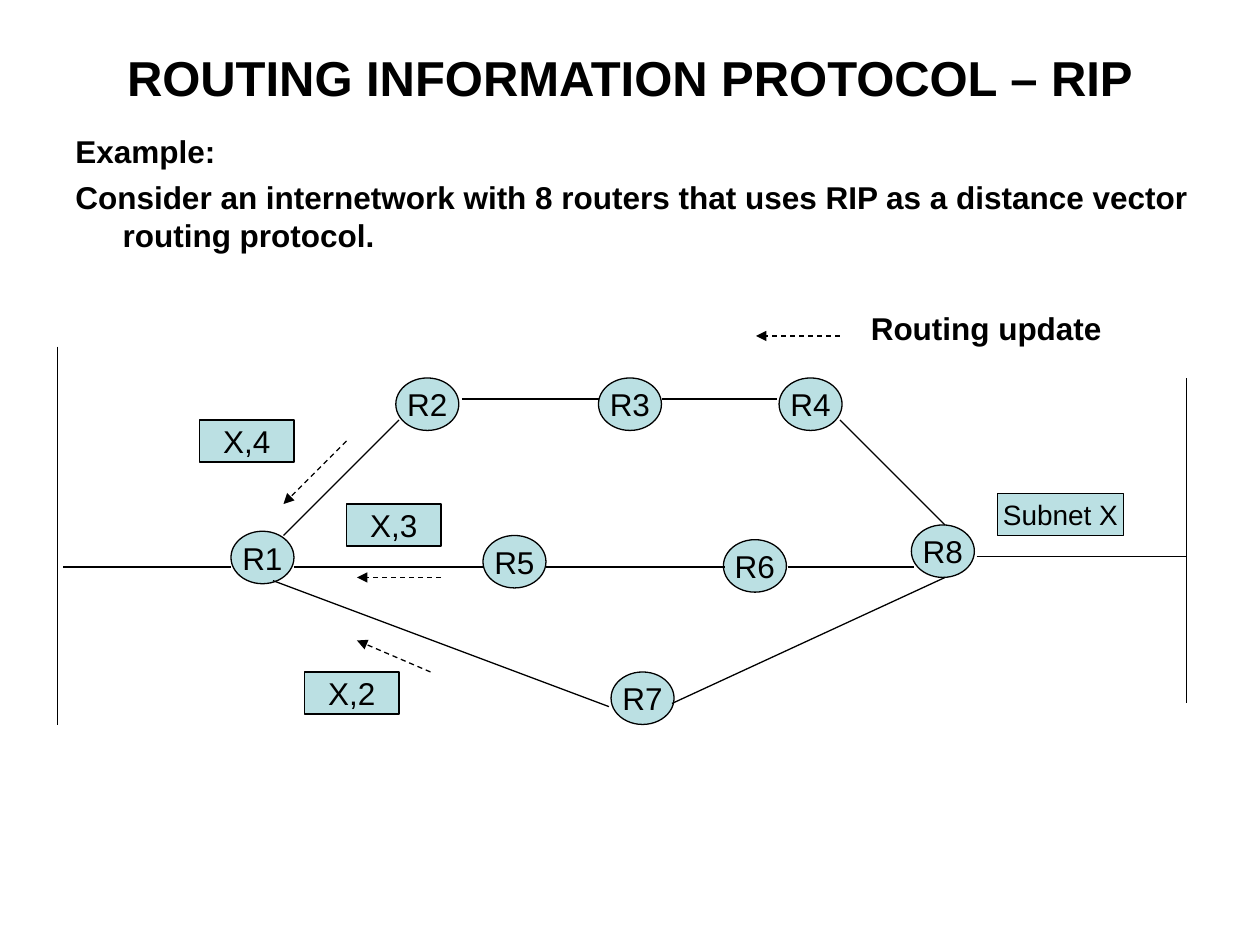
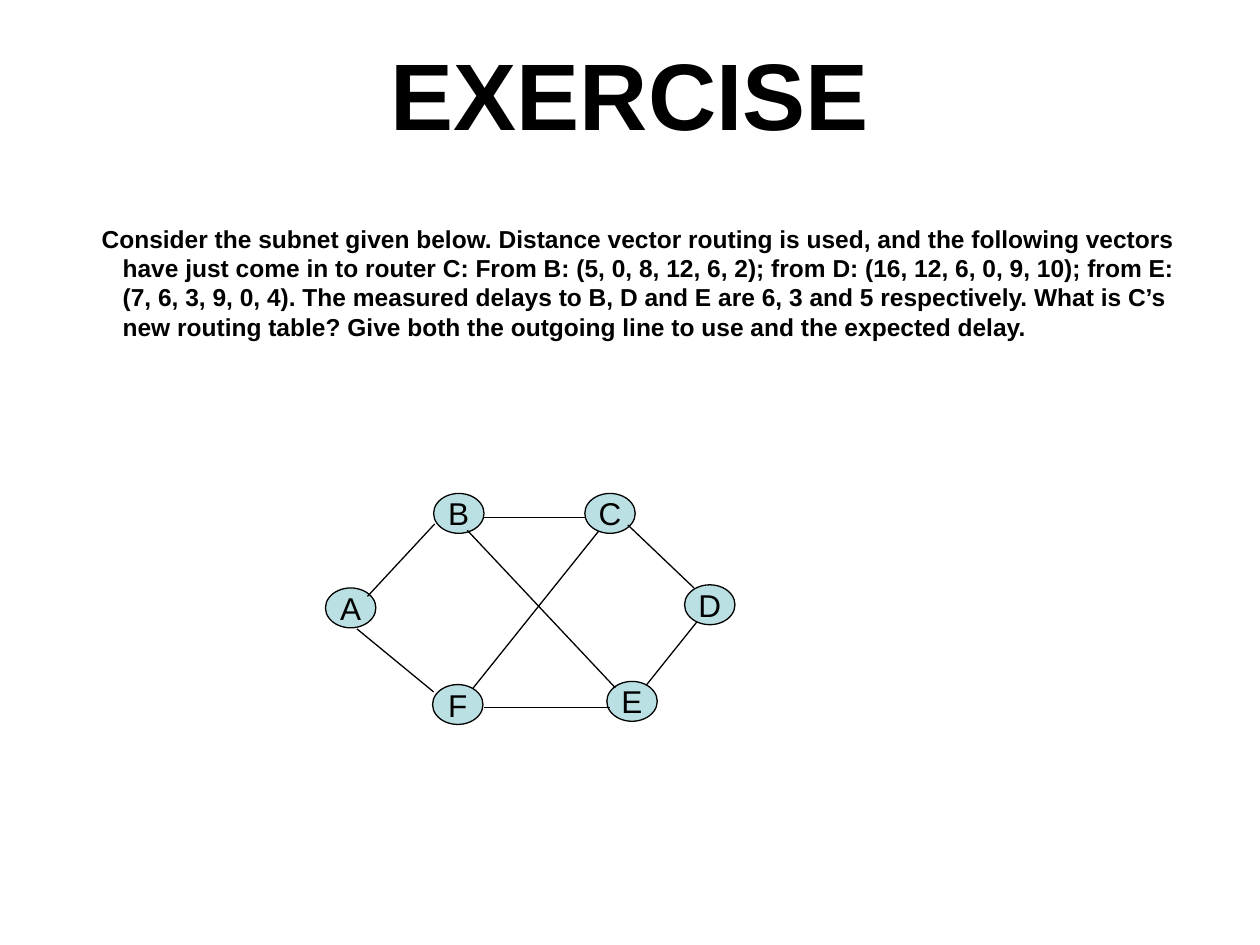
from dataclasses import dataclass

import lxml.etree
import pptx
import pptx.dml.color
import pptx.enum.dml
import pptx.enum.shapes
import pptx.enum.text
import pptx.oxml.ns
import pptx.util

BLACK = pptx.dml.color.RGBColor(0x00, 0x00, 0x00)
PALE_TEAL = pptx.dml.color.RGBColor(0xBB, 0xE0, 0xE3)
FONT = "Arial"
LINE_WIDTH = pptx.util.Pt(0.75)

# The page is a grid of square cells, twelve to the inch
COLUMNS, ROWS = 120, 90
CELL = pptx.util.Inches(10) / COLUMNS

CIRCLE = pptx.enum.shapes.MSO_SHAPE.FLOWCHART_CONNECTOR
RECTANGLE = pptx.enum.shapes.MSO_SHAPE.RECTANGLE
LEFT = pptx.enum.text.PP_ALIGN.LEFT
CENTER = pptx.enum.text.PP_ALIGN.CENTER
TOP = pptx.enum.text.MSO_ANCHOR.TOP
MIDDLE = pptx.enum.text.MSO_ANCHOR.MIDDLE


@dataclass(frozen=True)
class Area:
    column: float
    row: float
    columns: float
    rows: float

    def lengths(self) -> list[int]:
        return [cells(n) for n in (self.column, self.row, self.columns, self.rows)]


@dataclass(frozen=True)
class Node:
    label: str
    column: float
    row: float


@dataclass(frozen=True)
class Link:
    start_column: float
    start_row: float
    end_column: float
    end_row: float


def cells(count: float) -> int:
    return round(count * CELL)


# Shared drawing functions
def style_paragraph(para, size: float, bold: bool, alignment) -> None:
    para.alignment = alignment
    para.font.name = FONT
    para.font.size = pptx.util.Pt(size)
    para.font.bold = bold
    para.font.color.rgb = BLACK


def add_text(page, area: Area, texts: list[str], size: float, alignment=LEFT,
             anchor=TOP, hanging: float = 0, first_line: float = 0,
             space_before: float = 0) -> None:
    box = page.shapes.add_textbox(*area.lengths())
    frame = box.text_frame
    frame.word_wrap = True
    frame.vertical_anchor = anchor
    for index, text in enumerate(texts):
        para = frame.paragraphs[0] if index == 0 else frame.add_paragraph()
        para.text = text
        if hanging:
            properties = para._p.get_or_add_pPr()
            properties.set("marL", str(cells(hanging)))
            properties.set("indent", str(cells(first_line - hanging)))
        if index:
            para.space_before = pptx.util.Pt(space_before)
        style_paragraph(para, size, True, alignment)


def add_title(page, text: str, size: float, rows: float) -> None:
    add_text(page, Area(6, 3.6, 108, rows), [text], size, CENTER, MIDDLE)


def add_label(page, kind, area: Area, text: str, size: float = 18) -> None:
    shape = page.shapes.add_shape(kind, *area.lengths())
    shape.shadow.inherit = False
    shape.fill.solid()
    shape.fill.fore_color.rgb = PALE_TEAL
    shape.line.color.rgb = BLACK
    shape.line.width = LINE_WIDTH
    frame = shape.text_frame
    frame.word_wrap = False
    frame.vertical_anchor = MIDDLE
    frame.text = text
    style_paragraph(frame.paragraphs[0], size, False, CENTER)


def add_labels(page, kind, nodes: list[Node], columns: float, rows: float) -> None:
    for node in nodes:
        add_label(page, kind, Area(node.column, node.row, columns, rows), node.label)


def add_links(page, links: list[Link], update: bool = False) -> None:
    """Draw plain links, or dashed arrows for routing updates."""
    for link in links:
        line = page.shapes.add_connector(
            pptx.enum.shapes.MSO_CONNECTOR.STRAIGHT,
            cells(link.start_column), cells(link.start_row),
            cells(link.end_column), cells(link.end_row))
        line.line.color.rgb = BLACK
        line.line.width = LINE_WIDTH
        if update:
            line.line.dash_style = pptx.enum.dml.MSO_LINE.DASH
            lxml.etree.SubElement(line.line._get_or_add_ln(),
                                  pptx.oxml.ns.qn("a:tailEnd"), type="triangle")
        lxml.etree.SubElement(line._element.spPr, pptx.oxml.ns.qn("a:effectLst"))


# Slide 1: eight routers and their updates
ROUTERS = [
    Node("R1", 22, 50.6), Node("R2", 37.7, 36), Node("R3", 57, 36),
    Node("R4", 74.2, 36), Node("R5", 46, 51), Node("R6", 68.9, 51.4),
    Node("R7", 58.2, 64), Node("R8", 86.8, 50),
]
ROUTER_LINKS = [
    Link(27, 51, 38, 40), Link(44, 38, 57, 38), Link(63, 38, 74, 38),
    Link(80, 40, 90, 50), Link(28, 54, 46, 54), Link(52, 54, 69, 54),
    Link(75, 54, 87, 54), Link(26, 55.3, 58, 67.3), Link(64, 67, 90, 55),
]
SUBNET_LINKS = [
    Link(6, 54, 22, 54), Link(5.5, 33, 5.5, 69),
    Link(93, 53, 113, 53), Link(113, 36, 113, 67),
]
UPDATES = [
    Link(80, 32, 72, 32), Link(33, 42, 27, 48),
    Link(42, 55, 34, 55), Link(41, 64, 34, 61),
]
UPDATE_LABELS = [Node("X,4", 19, 40), Node("X,3", 33, 48), Node("X,2", 29, 64)]


def build_rip_example(deck) -> None:
    page = deck.slides.add_slide(deck.slide_layouts[6])
    add_title(page, "ROUTING INFORMATION PROTOCOL – RIP", 28, 7.4)
    add_text(page, Area(6, 12, 111, 14), [
        "Example:",
        "Consider an internetwork with 8 routers that uses RIP as a distance "
        "vector routing protocol.",
    ], 18, hanging=4.5, space_before=4.5)
    add_text(page, Area(81.75, 28.8, 28, 5), ["Routing update"], 18)
    add_labels(page, CIRCLE, ROUTERS, 6, 5)
    add_links(page, ROUTER_LINKS + SUBNET_LINKS)
    add_links(page, UPDATES, update=True)
    add_labels(page, RECTANGLE, UPDATE_LABELS, 9, 4)
    add_label(page, RECTANGLE, Area(95, 47, 12, 4), "Subnet X", 16)


# Slide 2: exercise on a six-router subnet
SUBNET_ROUTERS = [
    Node("A", 31, 56), Node("B", 41.3, 47), Node("C", 55.7, 47),
    Node("D", 65.2, 55.7), Node("E", 57.8, 64.9), Node("F", 41.2, 65.2),
]
EXERCISE_LINKS = [
    Link(35, 56.8, 41.4, 49.9), Link(46.1, 49.3, 55.7, 49.3),
    Link(59.8, 50, 66.1, 56), Link(66.4, 59.2, 61.6, 65.2),
    Link(46.1, 67.4, 58.1, 67.4), Link(34, 59.9, 41.3, 65.9),
    Link(45, 65.6, 57, 50.6), Link(44.5, 50.5, 58.6, 65.5),
]


def build_exercise(deck) -> None:
    page = deck.slides.add_slide(deck.slide_layouts[6])
    add_title(page, "EXERCISE", 54, 10.4)
    add_text(page, Area(6, 20.7, 108, 14), [
        "Consider the subnet given below. Distance vector routing is used, and "
        "the following vectors have just come in to router C: From B: "
        "(5, 0, 8, 12, 6, 2); from D: (16, 12, 6, 0, 9, 10); from E: "
        "(7, 6, 3, 9, 0, 4). The measured delays to B, D and E are 6, 3 and 5 "
        "respectively. What is C’s new routing table? Give both the outgoing "
        "line to use and the expected delay.",
    ], 14, hanging=4.5, first_line=2.5)
    add_labels(page, CIRCLE, SUBNET_ROUTERS, 4.8, 3.8)
    add_links(page, EXERCISE_LINKS)


def main() -> None:
    deck = pptx.Presentation()
    deck.slide_width, deck.slide_height = cells(COLUMNS), cells(ROWS)
    build_rip_example(deck)
    build_exercise(deck)
    deck.save("out.pptx")


if __name__ == "__main__":
    main()
